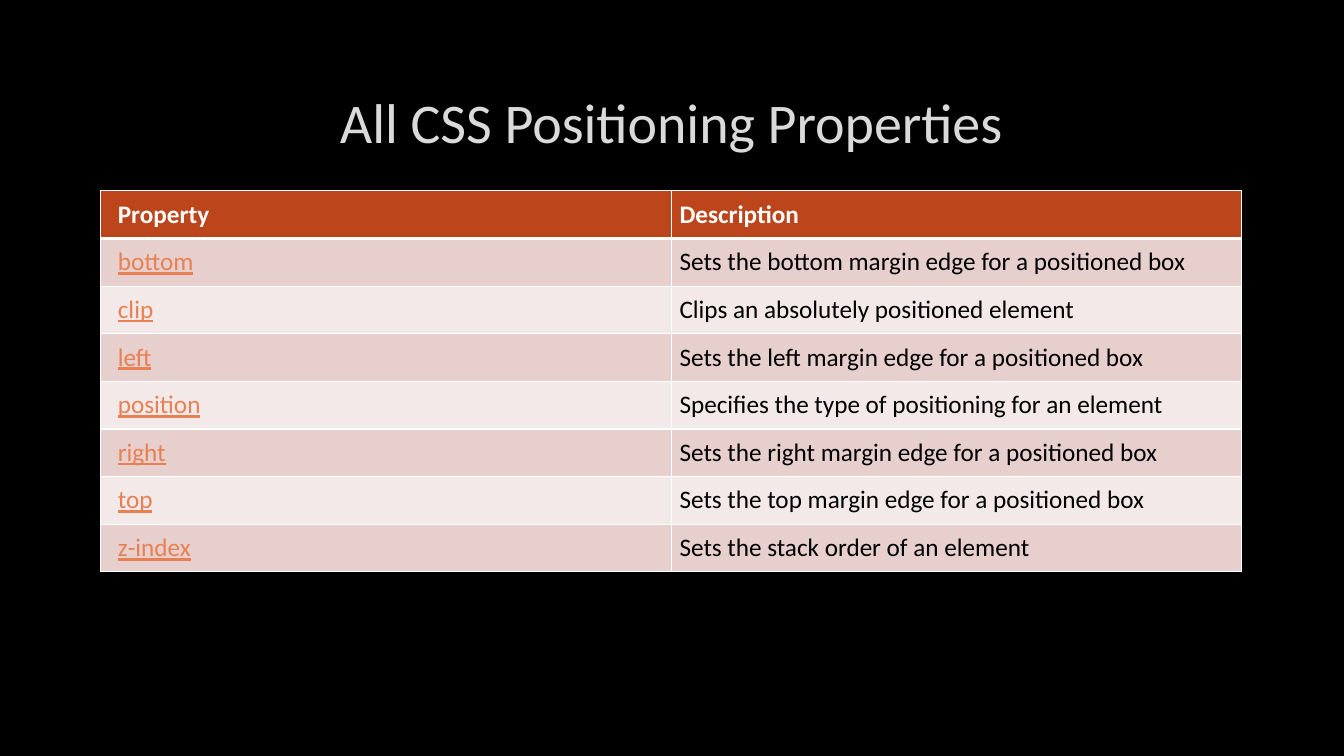
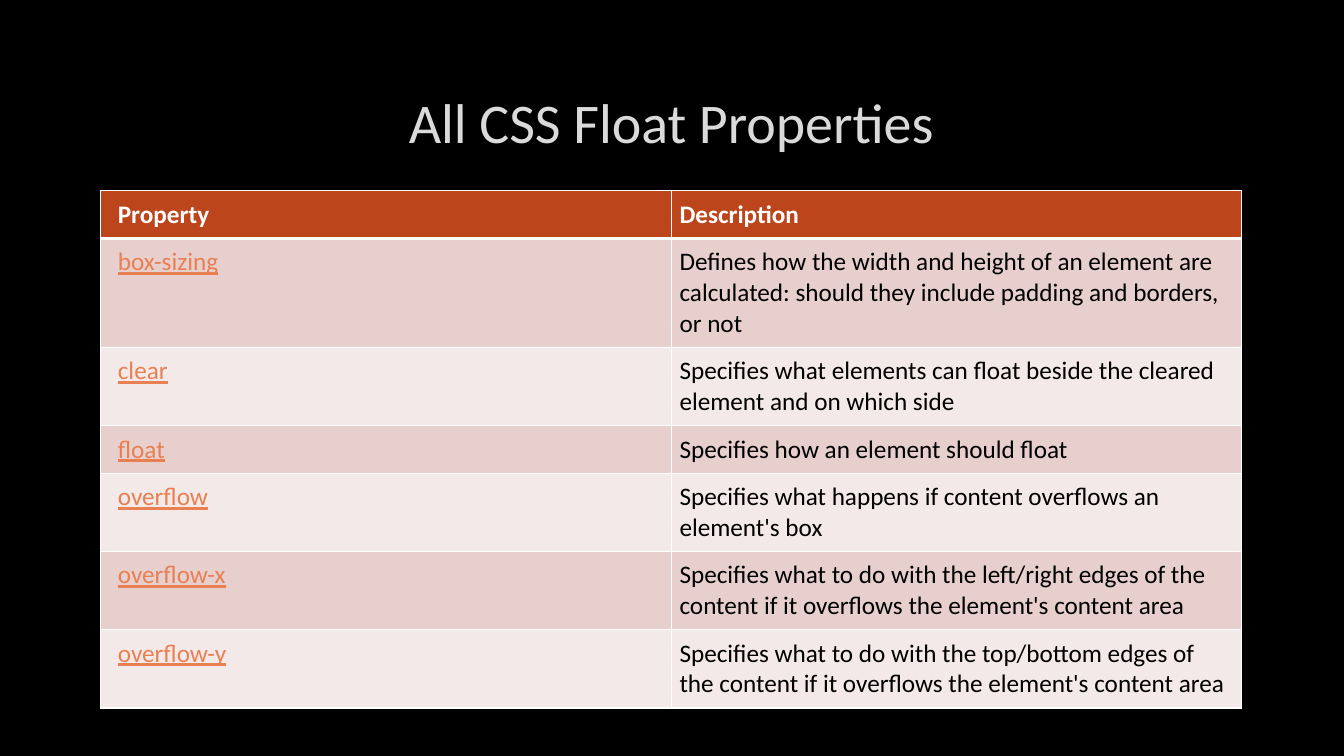
from lxml import etree
from pptx import Presentation
from pptx import util as u
from pptx.dml.color import RGBColor
from pptx.enum import text
from pptx.oxml import ns

HEAD = ("Property", "Description")

POSITION = [
    ("bottom", "Sets the bottom margin edge for a positioned box"),
    ("clip", "Clips an absolutely positioned element"),
    ("left", "Sets the left margin edge for a positioned box"),
    ("position", "Specifies the type of positioning for an element"),
    ("right", "Sets the right margin edge for a positioned box"),
    ("top", "Sets the top margin edge for a positioned box"),
    ("z-index", "Sets the stack order of an element"),
]

FLOAT = [
    ("box-sizing", "Defines how the width and height of an element are "
                   "calculated: should they include padding and borders, or not"),
    ("clear", "Specifies what elements can float beside the cleared "
              "element and on which side"),
    ("float", "Specifies how an element should float"),
    ("overflow", "Specifies what happens if content overflows an element's box"),
    ("overflow-x", "Specifies what to do with the left/right edges of the "
                   "content if it overflows the element's content area"),
    ("overflow-y", "Specifies what to do with the top/bottom edges of the "
                   "content if it overflows the element's content area"),
]


def rgb(code):
    return RGBColor.from_string(code)


def solid(parent, code, alpha=None):
    """Add a solid fill to a line element."""
    fill = etree.SubElement(parent, ns.qn("a:solidFill"))
    color = etree.SubElement(fill, ns.qn("a:srgbClr"), val=code)
    if alpha is not None:
        etree.SubElement(color, ns.qn("a:alpha"), val=str(alpha * 1000))


class Deck:
    # Shared style
    FONT = "Calibri"
    BACK, TITLE, EDGE = "000000", "DADADA", "404040"
    HEAD, WHITE, LINK, BODY = "BC451B", "FFFFFF", "E98052", "000000"
    BANDS = ("E7CFCD", "F3E9E8")
    LEFT, WIDE = u.Cm(2.54), u.Cm(28.75)
    ROW, PAD, INDENT = u.Cm(1.2), u.Cm(0.21), u.Cm(0.43)

    def __init__(self):
        self.prs = Presentation()
        self.prs.slide_width = u.Cm(33.87)
        self.prs.slide_height = u.Cm(19.05)

    def run(self, para, words, size, color, bold=False, under=False):
        run = para.add_run()
        run.text = words
        font = run.font
        font.name, font.size = self.FONT, u.Pt(size)
        font.bold, font.underline = bold, under
        font.color.rgb = rgb(color)
        return run

    def page(self, title):
        """Start a slide with its title."""
        self.slide = self.prs.slides.add_slide(self.prs.slide_layouts[5])
        fill = self.slide.background.fill
        fill.solid()
        fill.fore_color.rgb = rgb(self.BACK)

        box = self.slide.shapes.title
        box.left, box.top = self.LEFT, u.Cm(1.7)
        box.width, box.height = self.WIDE, u.Cm(2.7)
        frame = box.text_frame
        frame.word_wrap = True
        frame.auto_size = text.MSO_AUTO_SIZE.NONE
        frame.vertical_anchor = text.MSO_ANCHOR.MIDDLE
        para = frame.paragraphs[0]
        para.alignment = text.PP_ALIGN.CENTER
        run = self.run(para, title, 40, self.TITLE)

        # Faint outline of the letters
        line = etree.Element(ns.qn("a:ln"), w=str(u.Pt(0.75)))
        solid(line, self.EDGE, 10)
        run.font._element.insert(0, line)

    def border(self, cell, top, bottom):
        """Draw the four white edges, widths in points."""
        props = cell._tc.get_or_add_tcPr()
        edges = (("L", 1), ("R", 1), ("T", top), ("B", bottom))
        for spot, (side, width) in enumerate(edges):
            line = etree.Element(ns.qn("a:ln" + side), w=str(u.Pt(width)))
            solid(line, self.WHITE)
            props.insert(spot, line)

    def cell(self, cell, words, row, col):
        head = row == 0
        cell.fill.solid()
        cell.fill.fore_color.rgb = rgb(
            self.HEAD if head else self.BANDS[(row - 1) % 2])
        cell.margin_left = self.PAD if col else self.INDENT
        cell.margin_right = cell.margin_top = cell.margin_bottom = self.PAD
        cell.vertical_anchor = text.MSO_ANCHOR.TOP
        link = not head and col == 0
        color = self.WHITE if head else self.LINK if link else self.BODY
        self.run(cell.text_frame.paragraphs[0], words, 18, color, head, link)
        self.border(cell, 3 if row == 1 else 1, 3 if head else 1)

    def table(self, data):
        """Add a property table; rows grow with their text."""
        rows = [HEAD, *data]
        table = self.slide.shapes.add_table(
            len(rows), len(HEAD), self.LEFT, u.Cm(4.81),
            self.WIDE, self.ROW * len(rows)).table
        for row, pair in enumerate(rows):
            for col, words in enumerate(pair):
                self.cell(table.cell(row, col), words, row, col)


def main():
    deck = Deck()
    for title, data in (("All CSS Positioning Properties", POSITION),
                        ("All CSS Float Properties", FLOAT)):
        deck.page(title)
        deck.table(data)
    deck.prs.save("out.pptx")


if __name__ == "__main__":
    main()
